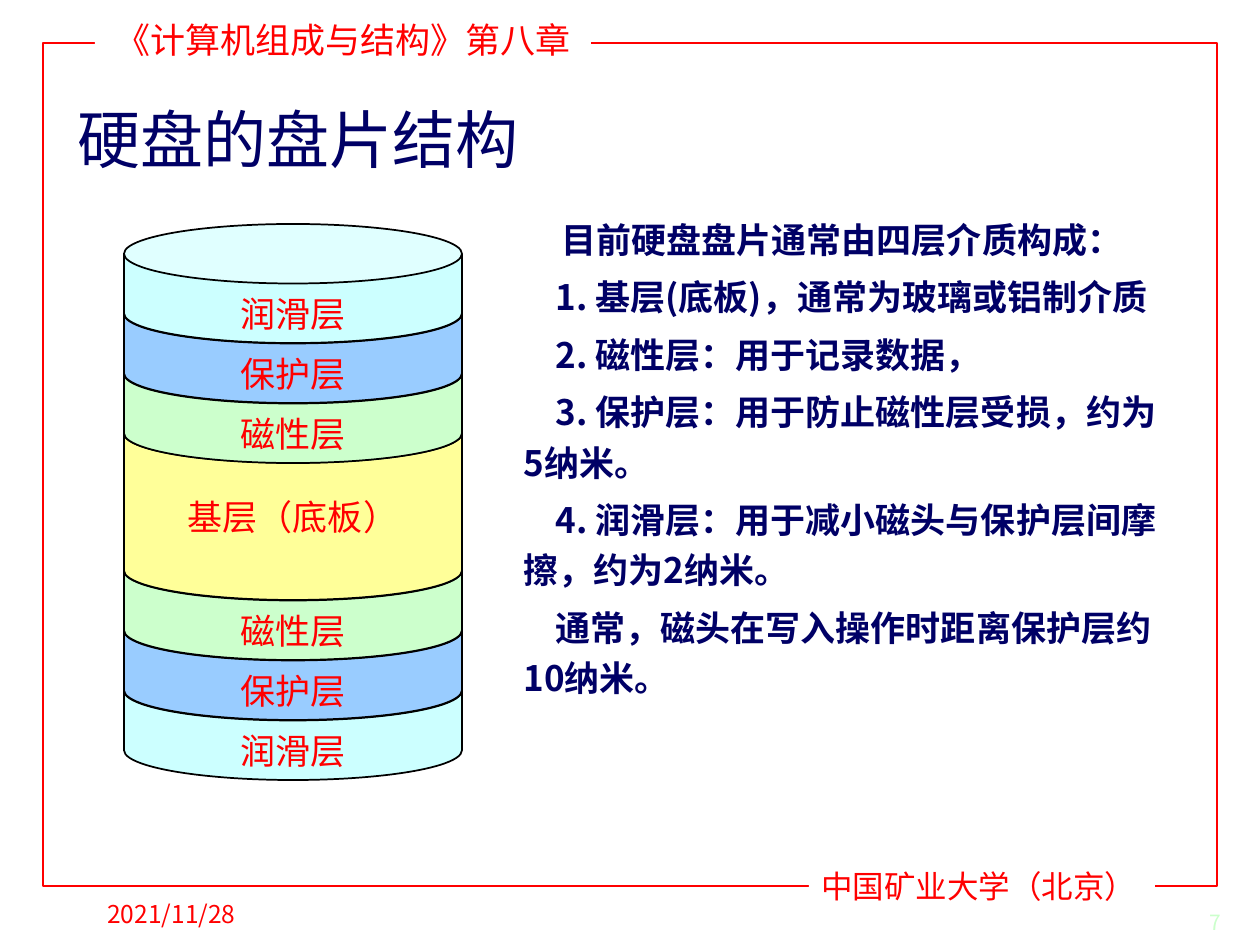
from pptx import Presentation
from pptx.dml.color import RGBColor
from pptx.enum.shapes import MSO_SHAPE
from pptx.enum.text import MSO_ANCHOR, PP_ALIGN
from pptx.oxml.ns import qn
from pptx.util import Emu, Pt
from lxml.etree import SubElement

SCALE = 914400 / 126
SANS = "Noto Sans CJK SC"
SERIF = "Times New Roman"
RED, NAVY, BLACK, WHITE = "FF0000", "000066", "000000", "FFFFFF"
AQUA, BLUE, GREEN, YELLOW = "CCFFFF", "99CCFF", "CCFFCC", "FFFF99"

STACK_LEFT, STACK_TOP, STACK_WIDTH = 124, 224, 338
LAYER_HEIGHT, BASE_HEIGHT, CAP_HEIGHT = 119, 196, 59
LAYERS = [
    ("润滑层", AQUA),
    ("保护层", BLUE),
    ("磁性层", GREEN),
    ("基层（底板）", YELLOW),
    ("磁性层", GREEN),
    ("保护层", BLUE),
    ("润滑层", AQUA),
]
DESCRIPTION = [
    "目前硬盘盘片通常由四层介质构成：",
    "1. 基层(底板)，通常为玻璃或铝制介质",
    "2. 磁性层：用于记录数据，",
    "3. 保护层：用于防止磁性层受损，约为5纳米。",
    "4. 润滑层：用于减小磁头与保护层间摩擦，约为2纳米。",
    "通常，磁头在写入操作时距离保护层约10纳米。",
]


def px(length):
    return Emu(round(length * SCALE))


def color(value):
    return RGBColor.from_string(value)


def set_values(target, values):
    for name, value in values.items():
        setattr(target, name, value)


def add_span(para, text, size, font, ink, bold=False):
    span = para.add_run()
    span.text = text
    set_values(span.font, {"size": Pt(size), "name": font, "bold": bold})
    span.font.color.rgb = color(ink)
    SubElement(span.font._element, qn("a:ea")).set("typeface", SANS)


def write(shape, text, size, font, ink, align=PP_ALIGN.LEFT, **frame_values):
    frame = shape.text_frame
    set_values(frame, {"word_wrap": True, "vertical_anchor": MSO_ANCHOR.TOP, **frame_values})
    para = frame.paragraphs[0]
    para.alignment = align
    add_span(para, text, size, font, ink)


def add_shape(page, kind, place, fill=None, line=None):
    shape = page.shapes.add_shape(kind, *map(px, place))
    shape.shadow.inherit = False
    if fill:
        shape.fill.solid()
        shape.fill.fore_color.rgb = color(fill)
    else:
        shape.fill.background()
    if line:
        shape.line.color.rgb = color(line)
        shape.line.width = Pt(1)
    else:
        shape.line.fill.background()
    return shape


def add_text(page, place, *content, **options):
    box = page.shapes.add_textbox(*map(px, place))
    write(box, *content, **options)


def add_frame(page):
    rectangle = MSO_SHAPE.RECTANGLE
    add_shape(page, rectangle, (43, 43, 1174, 843), line=RED)
    header = add_shape(page, rectangle, (95, 12, 496, 55), WHITE)
    write(header, "《计算机组成与结构》第八章", 20, SANS, RED, PP_ALIGN.CENTER)
    footer = add_shape(page, rectangle, (809, 861, 346, 50), WHITE)
    write(footer, "中国矿业大学（北京）", 18, SERIF, RED)


def add_layer(page, top, height, label, fill):
    can = add_shape(page, MSO_SHAPE.CAN, (STACK_LEFT, top, STACK_WIDTH, height), fill, BLACK)
    can.adjustments[0] = round(CAP_HEIGHT / height, 2)
    insets = {"margin_top": px(30), "margin_bottom": 0} if height == LAYER_HEIGHT else {}
    write(can, label, 20, SERIF, RED, PP_ALIGN.CENTER,
          word_wrap=False, vertical_anchor=MSO_ANCHOR.MIDDLE, **insets)


def add_platter(page):
    top = STACK_TOP
    placed = []
    for label, fill in LAYERS:
        height = BASE_HEIGHT if fill == YELLOW else LAYER_HEIGHT
        placed.append((top, height, label, fill))
        top += height - CAP_HEIGHT
    for layer in reversed(placed):
        add_layer(page, *layer)


def add_description(page):
    box = page.shapes.add_textbox(*map(px, (511, 204, 666, 596)))
    frame = box.text_frame
    set_values(frame, {"word_wrap": True, "margin_right": px(3)})
    for index, text in enumerate(DESCRIPTION):
        para = frame.add_paragraph() if index else frame.paragraphs[0]
        set_values(para, {"line_spacing": 1.2, "space_before": Pt(4 if index else 0)})
        para._p.get_or_add_pPr().set("indent", str(px(32 if index else 38)))
        add_span(para, text, 20, SANS, NAVY, bold=True)


def main():
    deck = Presentation()
    set_values(deck, {"slide_width": px(1260), "slide_height": px(945)})
    page = deck.slides.add_slide(deck.slide_layouts[6])
    middle = MSO_ANCHOR.MIDDLE
    add_frame(page)
    add_text(page, (95, 882, 262, 63), "2021/11/28", 14, SANS, RED,
             word_wrap=False, vertical_anchor=middle)
    add_text(page, (1134, 900, 100, 44), "7", 12, SANS, GREEN,
             align=PP_ALIGN.RIGHT, vertical_anchor=middle)
    add_platter(page)
    add_text(page, (65, 94, 1142, 89), "硬盘的盘片结构", 36, SANS, NAVY,
             vertical_anchor=middle)
    add_description(page)
    deck.save("out.pptx")


if __name__ == "__main__":
    main()
